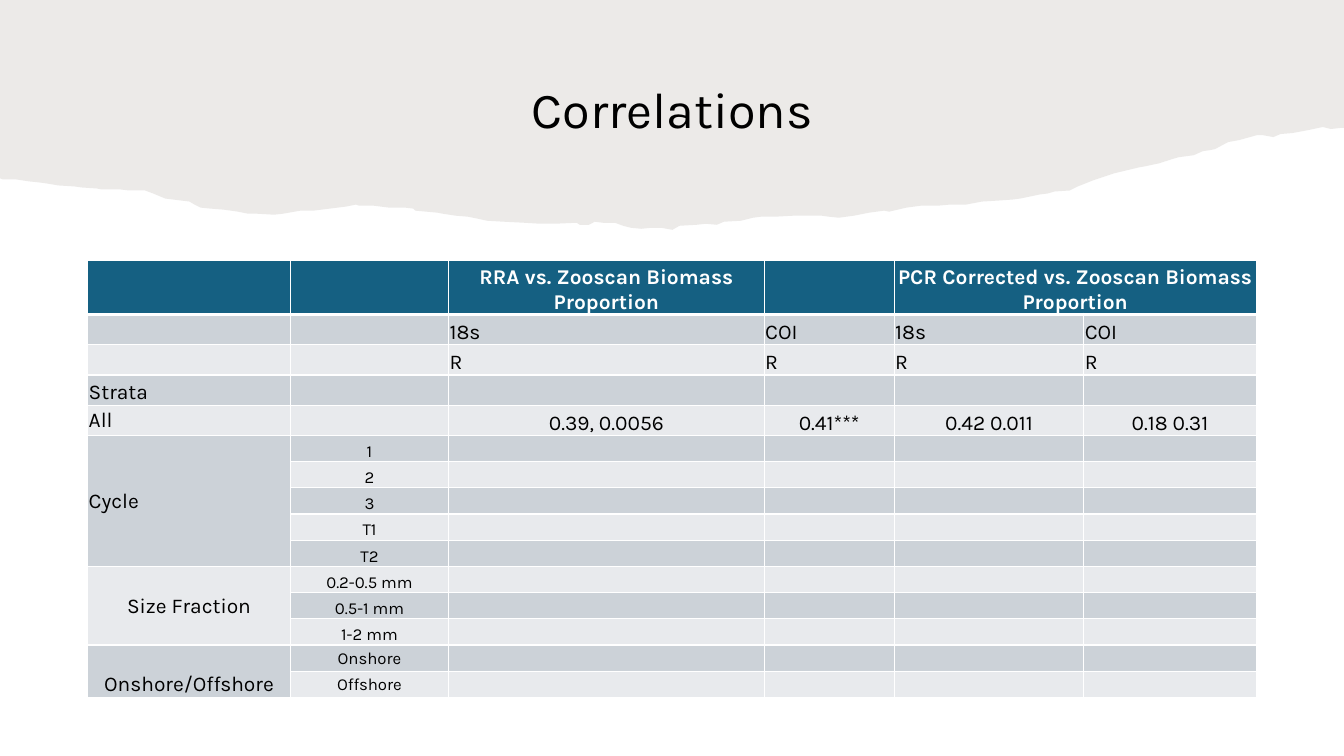
from dataclasses import dataclass

from lxml import etree
from pptx import Presentation
from pptx.dml.color import RGBColor
from pptx.enum.text import MSO_ANCHOR, MSO_AUTO_SIZE, PP_ALIGN
from pptx.oxml.ns import qn
from pptx.util import Inches, Pt

LEFT, CENTER = PP_ALIGN.LEFT, PP_ALIGN.CENTER
MIDDLE, BOTTOM = MSO_ANCHOR.MIDDLE, MSO_ANCHOR.BOTTOM
NO_AUTOFIT = MSO_AUTO_SIZE.NONE
TITLE_ONLY = 5


@dataclass(frozen=True)
class Theme:
    font: str = "Karla"
    text: str = "000000"
    header_text: str = "FFFFFF"
    header: str = "156082"
    band_dark: str = "CCD2D8"
    band_light: str = "E8EAED"
    border: str = "FFFFFF"
    paper: str = "82766A"
    paper_opacity: int = 15
    title_size: int = 36
    body_size: int = 15
    level_size: int = 12
    thin: int = 1
    thick: int = 3


@dataclass(frozen=True)
class Entry:
    row: int
    column: int
    text: str
    align: PP_ALIGN = LEFT
    anchor: MSO_ANCHOR = BOTTOM
    rows: int = 1
    columns: int = 1


THEME = Theme()
COLUMN_WIDTHS = [2.01, 1.57, 3.13, 1.29, 1.88, 1.71]
ROW_HEIGHTS = [0.54] + [0.3] * 4 + [0.26] * 10
FIRST_LEVEL_ROW = 5
LEVEL_COLUMN = 1
LEVELS = ["1", "2", "3", "T1", "T2", "0.2-0.5 mm", "0.5-1 mm", "1-2 mm", "Onshore", "Offshore"]
MARKERS = ["18s", "COI", "18s", "COI"]
CORRELATIONS = ["0.39, 0.0056", "0.41***", "0.42 0.011", "0.18 0.31"]

ENTRIES = [
    Entry(0, 2, "RRA vs. Zooscan Biomass Proportion", CENTER),
    Entry(0, 4, "PCR Corrected vs. Zooscan Biomass Proportion", CENTER, columns=2),
    Entry(3, 0, "Strata"),
    Entry(4, 0, "All", anchor=MIDDLE),
    Entry(5, 0, "Cycle", anchor=MIDDLE, rows=5),
    Entry(10, 0, "Size Fraction", CENTER, MIDDLE, rows=3),
    Entry(13, 0, "Onshore/Offshore", CENTER, rows=2),
]
for column, (marker, correlation) in enumerate(zip(MARKERS, CORRELATIONS), start=2):
    ENTRIES += [
        Entry(1, column, marker),
        Entry(2, column, "R"),
        Entry(4, column, correlation, CENTER),
    ]
for row, level in enumerate(LEVELS, start=FIRST_LEVEL_ROW):
    anchor = MIDDLE if level in ("Onshore", "Offshore") else BOTTOM
    ENTRIES.append(Entry(row, LEVEL_COLUMN, level, CENTER, anchor))

TORN_EDGE = [
    (13.33, 1.27), (13.29, 1.27), (13.2, 1.28), (13.12, 1.26), (12.98, 1.29), (12.82, 1.32),
    (12.7, 1.33), (12.63, 1.36), (12.52, 1.34), (12.47, 1.34), (12.29, 1.39), (12.18, 1.41),
    (12.05, 1.48), (12, 1.49), (11.93, 1.5), (11.84, 1.54), (11.69, 1.56), (11.62, 1.58),
    (11.5, 1.62), (11.45, 1.63), (11.36, 1.65), (11.3, 1.66), (11.05, 1.72), (10.84, 1.79),
    (10.69, 1.85), (10.61, 1.89), (10.46, 1.9), (10.39, 1.92), (10.31, 1.93), (10.12, 1.97),
    (10.04, 1.98), (9.9, 1.99), (9.74, 2), (9.58, 2.03), (9.42, 2.03), (9.31, 2.04),
    (9.14, 2.04), (8.99, 2.06), (8.82, 2.1), (8.77, 2.09), (8.62, 2.11), (8.47, 2.14),
    (8.32, 2.16), (8.22, 2.15), (8.15, 2.14), (7.87, 2.14), (7.69, 2.15), (7.55, 2.15),
    (7.47, 2.16), (7.35, 2.19), (7.18, 2.2), (7.11, 2.23), (7, 2.22), (6.91, 2.23),
    (6.74, 2.24), (6.67, 2.28), (6.56, 2.26), (6.46, 2.26), (6.36, 2.27), (6.26, 2.26),
    (6.18, 2.24), (6.1, 2.21), (5.98, 2.21), (5.9, 2.2), (5.84, 2.23), (5.75, 2.23),
    (5.72, 2.21), (5.5, 2.22), (5.36, 2.22), (5.2, 2.21), (5, 2.2), (4.83, 2.19),
    (4.74, 2.17), (4.64, 2.15), (4.52, 2.14), (4.39, 2.12), (4.34, 2.11), (4.12, 2.09),
    (4.1, 2.07), (4.02, 2.06), (3.86, 2.06), (3.7, 2.04), (3.56, 2.04), (3.53, 2.03),
    (3.43, 2.05), (3.11, 2.09), (2.98, 2.09), (2.81, 2.12), (2.72, 2.13), (2.54, 2.12),
    (2.46, 2.12), (2.36, 2.1), (2.22, 2.08), (2.09, 2.07), (1.99, 2.06), (1.93, 2.03),
    (1.88, 2), (1.64, 1.97), (1.52, 1.92), (1.44, 1.89), (1.28, 1.89), (1.2, 1.88),
    (1.01, 1.88), (0.96, 1.87), (0.81, 1.86), (0.74, 1.85), (0.58, 1.84), (0.46, 1.82),
    (0.39, 1.81), (0.29, 1.8), (0.16, 1.78), (0.03, 1.78), (0, 1.77),
]


def write_text(text_frame, text: str, *, size: int, color: str = THEME.text,
               bold: bool = False, align: PP_ALIGN = LEFT, line_spacing: float = 1.0) -> None:
    paragraph = text_frame.paragraphs[0]
    paragraph.alignment = align
    paragraph.line_spacing = line_spacing
    if not text:
        end = etree.SubElement(paragraph._p, qn("a:endParaRPr"))
        end.set("sz", str(size * 100))
        return
    run = paragraph.add_run()
    run.text = text
    run.font.name = THEME.font
    run.font.size = Pt(size)
    run.font.bold = bold
    run.font.color.rgb = RGBColor.from_string(color)


def draw_torn_paper(slide) -> None:
    points = [(Inches(x), Inches(y)) for x, y in [(13.33, 0), *TORN_EDGE]]
    builder = slide.shapes.build_freeform(0, 0)
    builder.add_line_segments(points, close=True)
    paper = builder.convert_to_shape()
    paper.shadow.inherit = False
    paper.line.fill.background()
    paper.fill.solid()
    paper.fill.fore_color.rgb = RGBColor.from_string(THEME.paper)
    color = paper._element.spPr.find(f".//{qn('a:srgbClr')}")
    etree.SubElement(color, qn("a:alpha")).set("val", str(THEME.paper_opacity * 1000))
    slide.shapes.title._element.addprevious(paper._element)


def draw_title(slide) -> None:
    title = slide.shapes.title
    title.left, title.top = Inches(0.91), Inches(0.54)
    title.width, title.height = Inches(11.52), Inches(0.89)
    title.text_frame.auto_size = NO_AUTOFIT
    title.text_frame.vertical_anchor = BOTTOM
    write_text(title.text_frame, "Correlations", size=THEME.title_size,
               align=CENTER, line_spacing=0.9)


def set_borders(cell, row: int) -> None:
    properties = cell._tc.get_or_add_tcPr()
    widths = {
        "a:lnL": THEME.thin,
        "a:lnR": THEME.thin,
        "a:lnT": THEME.thick if row == 1 else THEME.thin,
        "a:lnB": THEME.thick if row == 0 else THEME.thin,
    }
    for tag, width in widths.items():
        line = etree.SubElement(properties, qn(tag))
        line.set("w", str(Pt(width)))
        fill = etree.SubElement(line, qn("a:solidFill"))
        etree.SubElement(fill, qn("a:srgbClr")).set("val", THEME.border)


def draw_cell(cell, row: int, entry: Entry) -> None:
    bands = [THEME.band_light, THEME.band_dark]
    is_level = row >= FIRST_LEVEL_ROW and (entry.column == LEVEL_COLUMN or not entry.text)
    cell.margin_left = cell.margin_top = cell.margin_right = Inches(0.01)
    cell.margin_bottom = 0
    cell.vertical_anchor = entry.anchor
    set_borders(cell, row)
    cell.fill.solid()
    cell.fill.fore_color.rgb = RGBColor.from_string(THEME.header if row == 0 else bands[row % 2])
    write_text(cell.text_frame, entry.text, align=entry.align, bold=row == 0,
               size=THEME.level_size if is_level else THEME.body_size,
               color=THEME.header_text if row == 0 else THEME.text)


def draw_table(slide) -> None:
    frame = slide.shapes.add_table(len(ROW_HEIGHTS), len(COLUMN_WIDTHS), Inches(0.87),
                                   Inches(2.58), Inches(sum(COLUMN_WIDTHS)),
                                   Inches(sum(ROW_HEIGHTS)))
    table = frame.table
    table.first_row = table.horz_banding = False
    for column, width in zip(table.columns, COLUMN_WIDTHS):
        column.width = Inches(width)
    entries = {(entry.row, entry.column): entry for entry in ENTRIES}
    for row, height in enumerate(ROW_HEIGHTS):
        table.rows[row].height = Inches(height)
        for column in range(len(COLUMN_WIDTHS)):
            entry = entries.get((row, column), Entry(row, column, ""))
            draw_cell(table.cell(row, column), row, entry)
    for entry in ENTRIES:
        if entry.rows > 1 or entry.columns > 1:
            last = table.cell(entry.row + entry.rows - 1, entry.column + entry.columns - 1)
            table.cell(entry.row, entry.column).merge(last)


def main() -> None:
    presentation = Presentation()
    presentation.slide_width, presentation.slide_height = Inches(13.33), Inches(7.5)
    slide = presentation.slides.add_slide(presentation.slide_layouts[TITLE_ONLY])
    draw_torn_paper(slide)
    draw_title(slide)
    draw_table(slide)
    presentation.save("out.pptx")


if __name__ == "__main__":
    main()
